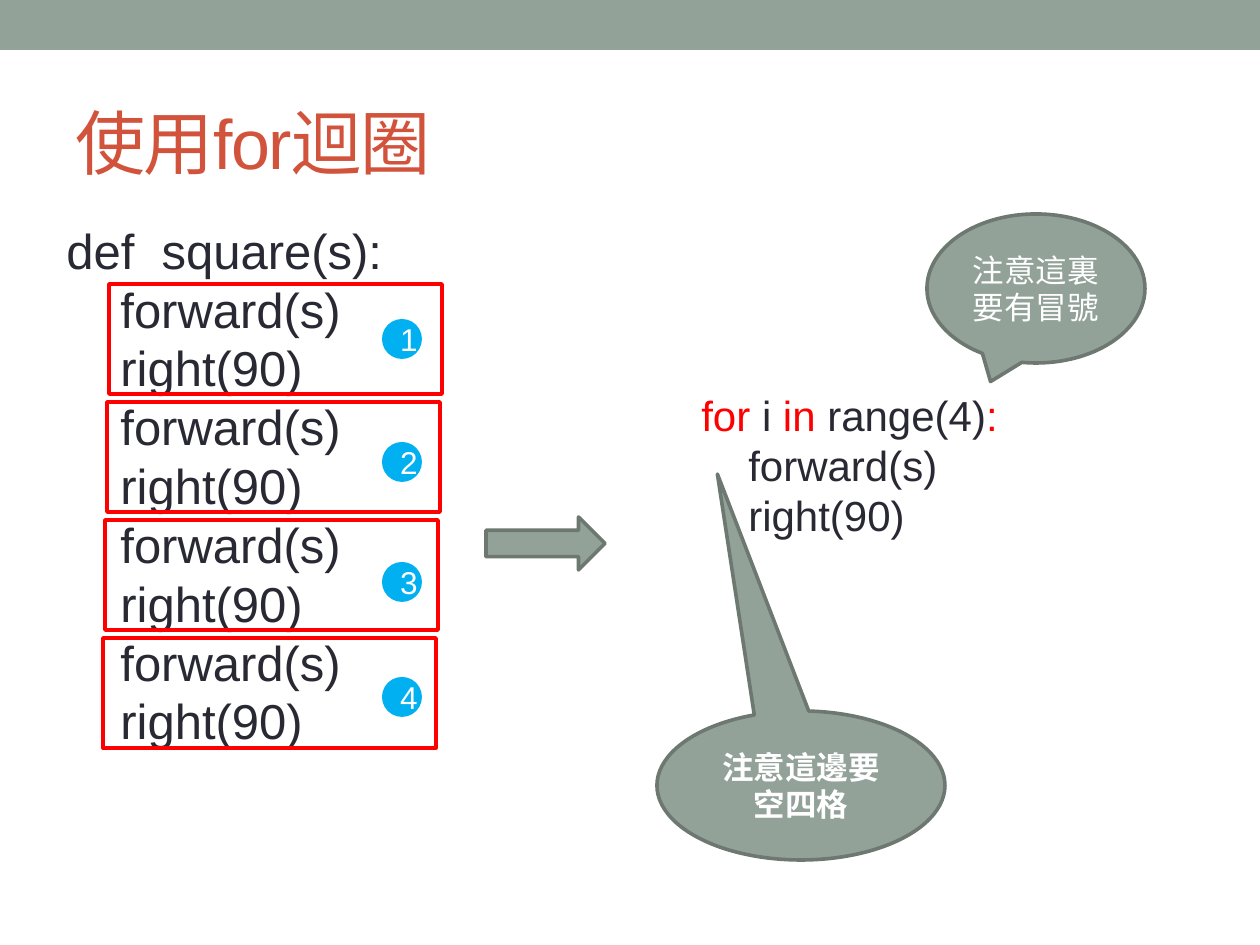
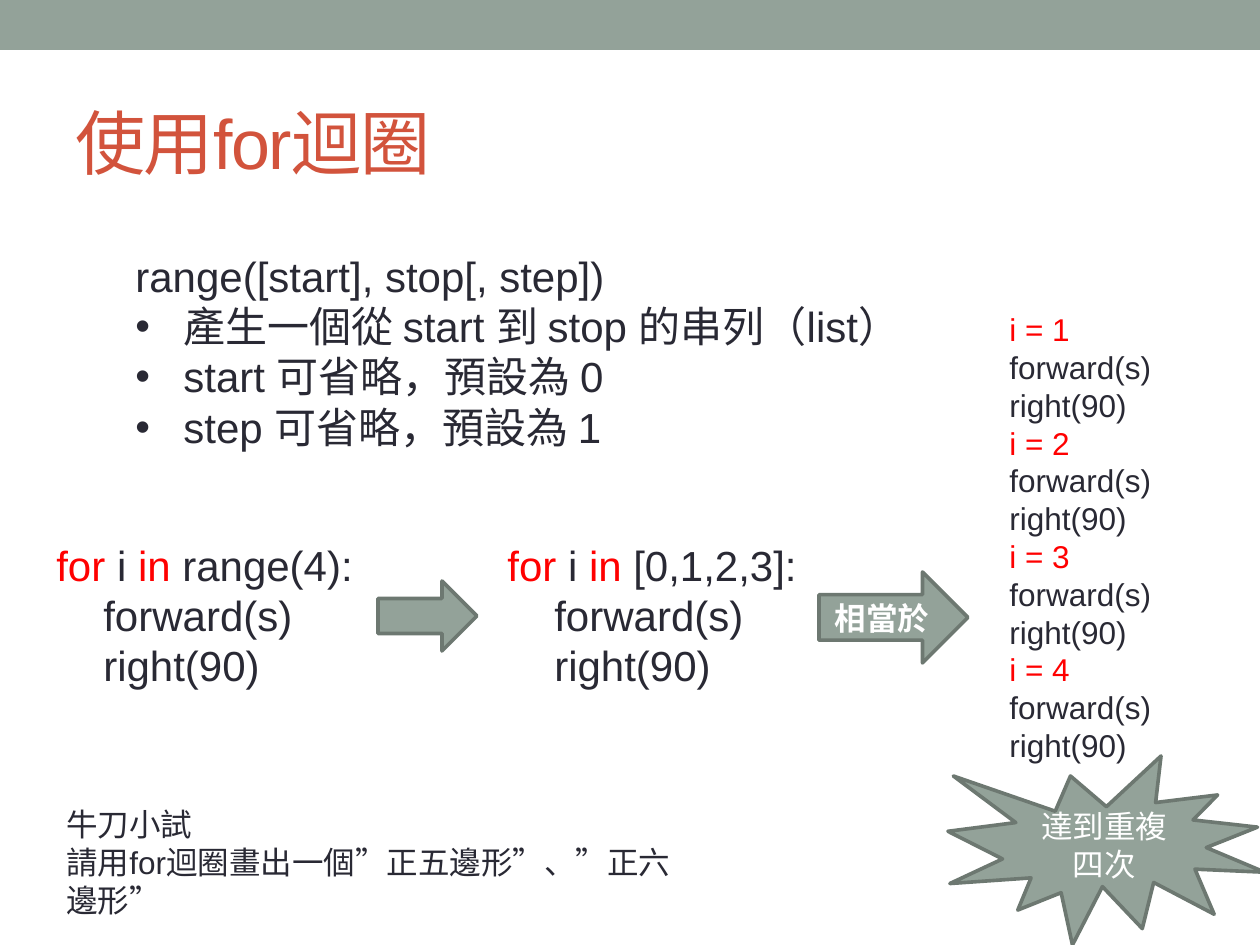
from pptx import Presentation
from pptx.dml.color import RGBColor
from pptx.enum.shapes import MSO_SHAPE
from pptx.enum.text import MSO_ANCHOR, PP_ALIGN
from pptx.oxml.ns import qn
from pptx.util import Pt
from lxml import etree

RECT, OVAL = MSO_SHAPE.RECTANGLE, MSO_SHAPE.OVAL
ARROW, BURST = MSO_SHAPE.RIGHT_ARROW, MSO_SHAPE.EXPLOSION1
CALLOUT = MSO_SHAPE.OVAL_CALLOUT
LEFT, CENTER = PP_ALIGN.LEFT, PP_ALIGN.CENTER
TOP, MIDDLE = MSO_ANCHOR.TOP, MSO_ANCHOR.MIDDLE

EMU_PER_PX = 914400 / 126
TITLE_ONLY = 5
FONT = "Arial"
COLORS = {
    "sage": "93A299",
    "edge": "6D7871",
    "title": "D2533C",
    "ink": "292934",
    "red": "FF0000",
    "blue": "00B0F0",
    "white": "FFFFFF",
}


def px(n):
    return round(n * EMU_PER_PX)


def rgb(name):
    return RGBColor.from_string(COLORS[name])


class Deck:
    """Holds the shared style and the current slide."""

    def __init__(self):
        self.prs = Presentation()
        self.prs.slide_width, self.prs.slide_height = px(1260), px(945)
        self.s = None

    def slide(self, title):
        self.s = self.prs.slides.add_slide(self.prs.slide_layouts[TITLE_ONLY])
        self.shape(RECT, (0, 0, 1260, 50), fill="sage", line=None)
        sp = self.s.shapes.title
        sp.left, sp.top, sp.width, sp.height = map(px, (63, 73, 1134, 136))
        sp.text_frame.vertical_anchor = MIDDLE
        p = sp.text_frame.paragraphs[0]
        p.alignment = LEFT
        r = self.run(p, title, "title", 40)
        r._r.get_or_add_rPr().set("spc", "-100")

    def run(self, p, text, color, size, bold=False):
        r = p.add_run()
        r.text = text
        fmt = {"name": FONT, "size": Pt(size), "bold": bold}
        for key, value in fmt.items():
            setattr(r.font, key, value)
        r.font.color.rgb = rgb(color)
        return r

    def shape(self, kind, box, text="", fill="sage", line="edge", bold=False, adj=()):
        sp = self.s.shapes.add_shape(kind, *map(px, box))
        sp.shadow.inherit = False
        for i, value in enumerate(adj):
            sp.adjustments[i] = value
        if fill:
            sp.fill.solid()
            sp.fill.fore_color.rgb = rgb(fill)
        else:
            sp.fill.background()
        if line:
            sp.line.color.rgb = rgb(line)
            sp.line.width = Pt(2.08)
        else:
            sp.line.fill.background()
        if text:
            p = sp.text_frame.paragraphs[0]
            p.alignment = CENTER
            self.run(p, text, "white", 18, bold)

    def text(self, box, lines, size):
        """Each line is a string or a list of (text, colour) runs."""
        tf = self.s.shapes.add_textbox(*map(px, box)).text_frame
        tf.word_wrap, tf.vertical_anchor = True, TOP
        for i, line in enumerate(lines):
            p = tf.add_paragraph() if i else tf.paragraphs[0]
            for text, color in [(line, "ink")] if isinstance(line, str) else line:
                self.run(p, text, color, size)
        return tf.paragraphs

    def code(self, box, head, body, size, indent):
        for p in self.text(box, [head, *body], size)[1:]:
            p._p.get_or_add_pPr().set("marL", str(px(indent)))

    def bullets(self, box, head, items, size, indent):
        for p in self.text(box, [head, *items], size)[1:]:
            pPr = p._p.get_or_add_pPr()
            pPr.set("marL", str(px(indent)))
            pPr.set("indent", str(-px(indent)))
            etree.SubElement(pPr, qn("a:buFont")).set("typeface", FONT)
            etree.SubElement(pPr, qn("a:buChar")).set("char", "•")


TITLE = "使用for迴圈"
STEPS = ["forward(s)", "right(90)"]


def for_head(sequence):
    return [("for ", "red"), ("i ", "ink"), ("in", "red"), (" " + sequence, "ink")]


def unrolled_slide(deck):
    deck.slide(TITLE)

    # Loop and its two hints
    deck.shape(ARROW, (486, 517, 119, 53))
    deck.code((689, 383, 417, 217), for_head("range(4)") + [(":", "red")],
              STEPS, 24, 47)
    deck.shape(CALLOUT, (927, 214, 218, 149), "注意這裏要有冒號")
    deck.shape(CALLOUT, (657, 711, 288, 149), "注意這邊要空四格", bold=True,
               adj=(-0.29, -2.09))

    # Repeated code with numbered frames
    deck.code((54, 214, 345, 585), "def  square(s):", STEPS * 4, 28, 54)
    for i in range(4):
        deck.shape(RECT, (109 - 2 * i, 284 + 118 * i, 333, 110), fill=None, line="red")
    for i, top in enumerate((319, 442, 562, 677), 1):
        deck.shape(OVAL, (382, top, 40, 40), str(i), fill="blue", line=None)


def range_slide(deck):
    deck.slide(TITLE)

    # Equivalent loops
    for left, sequence in ((44, "range(4):"), (495, "[0,1,2,3]:")):
        deck.code((left, 533, 417, 217), for_head(sequence), STEPS, 24, 47)
    deck.shape(ARROW, (378, 581, 99, 70))

    # Explanation and exercise
    deck.bullets((123, 244, 801, 217), "range([start], stop[, step])",
                 ["產生一個從 start 到 stop 的串列（list）",
                  "start 可省略，預設為 0",
                  "step 可省略，預設為 1"], 24, 48)
    deck.text((54, 799, 630, 89),
              ["牛刀小試", "請用for迴圈畫出一個”正五邊形”、”正六邊形”"], 18)

    # Unrolled result
    trace = []
    for i in range(1, 5):
        trace += [[(f"i = {i}", "red")], *STEPS]
    deck.text((997, 304, 172, 585), trace, 18)
    deck.shape(ARROW, (819, 572, 149, 91), "相當於", bold=True)
    deck.shape(BURST, (948, 756, 317, 189), "達到重複四次")


def main():
    deck = Deck()
    unrolled_slide(deck)
    range_slide(deck)
    deck.prs.save("out.pptx")


if __name__ == "__main__":
    main()
